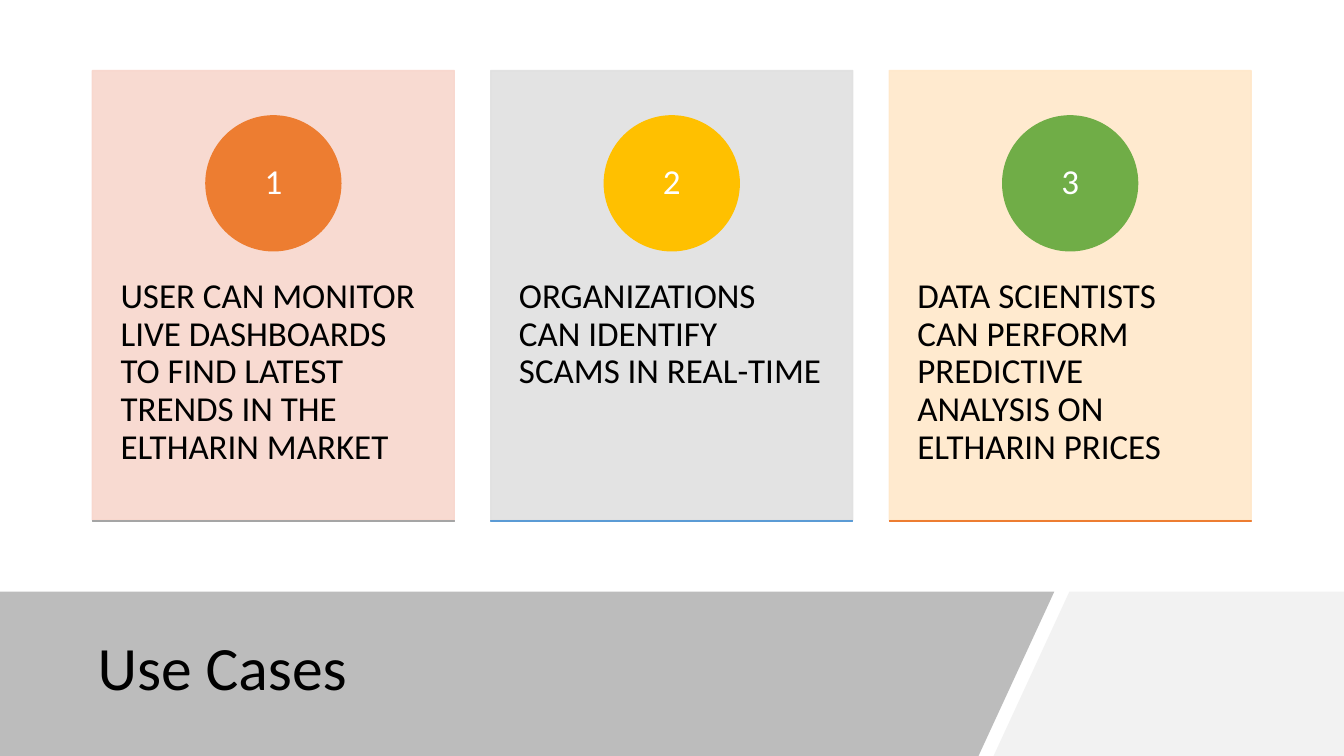
from dataclasses import dataclass

import lxml.etree
import pptx
import pptx.dml.color
import pptx.enum.shapes
import pptx.enum.text
import pptx.oxml.ns
import pptx.util
from pptx.util import Cm

COLORS = {
    "black": "000000", "white": "FFFFFF", "dark_band": "595959", "light_band": "F2F2F2",
    "rose": "F8D6CC", "silver": "E0E0E0", "cream": "FFE8CA",
    "orange": "ED7D31", "gold": "FFC000", "green": "70AD47",
    "gray": "A5A5A5", "blue": "5B9BD5",
}
FONT = "Calibri"
SLIDE_WIDTH, SLIDE_HEIGHT = 33.87, 19.05

# Card geometry in centimetres
CARD_LEFT, CARD_TOP, CARD_WIDTH, CARD_HEIGHT = 2.33, 1.78, 9.12, 11.33
CARD_PITCH = 10.04
CIRCLE_TOP, CIRCLE_SIZE = 2.92, 3.4
BODY_TOP = 6.3
RULE_HEIGHT = 0.03
BAND_TOP = 14.91

SHAPE = pptx.enum.shapes.MSO_SHAPE
ALIGN = pptx.enum.text.PP_ALIGN
ANCHOR = pptx.enum.text.MSO_ANCHOR


@dataclass
class Card:
    text: str
    body_height: float
    background: str
    circle: str
    rule: str


@dataclass
class Band:
    corners: list[tuple[float, float]]
    color: str
    opacity: int


CARDS = [
    Card("USER CAN MONITOR LIVE DASHBOARDS TO FIND LATEST TRENDS IN THE ELTHARIN MARKET",
         6.32, "rose", "orange", "gray"),
    Card("ORGANIZATIONS CAN IDENTIFY SCAMS IN REAL-TIME",
         4.32, "silver", "gold", "blue"),
    Card("DATA SCIENTISTS CAN PERFORM PREDICTIVE ANALYSIS ON ELTHARIN PRICES",
         6.32, "cream", "green", "orange"),
]
BANDS = [
    Band([(26.95, BAND_TOP), (SLIDE_WIDTH, BAND_TOP),
          (SLIDE_WIDTH, SLIDE_HEIGHT), (25.04, SLIDE_HEIGHT)], "light_band", 100),
    Band([(0, BAND_TOP), (26.57, BAND_TOP),
          (24.66, SLIDE_HEIGHT), (0, SLIDE_HEIGHT)], "dark_band", 40),
]


def rgb(name: str) -> pptx.dml.color.RGBColor:
    return pptx.dml.color.RGBColor.from_string(COLORS[name])


def paint(shape, color: str, opacity: int = 100, outlined: bool = True) -> None:
    """Give fill and outline one colour and one opacity."""
    shape.shadow.inherit = False
    shape.fill.solid()
    shape.fill.fore_color.rgb = rgb(color)
    if outlined:
        shape.line.color.rgb = rgb(color)
        shape.line.width = pptx.util.Pt(1)
    else:
        shape.line.fill.background()
    if opacity < 100:
        for element in shape._element.spPr.iter(pptx.oxml.ns.qn("a:srgbClr")):
            alpha = lxml.etree.SubElement(element, pptx.oxml.ns.qn("a:alpha"))
            alpha.set("val", str(opacity * 1000))


def write(shape, text: str, size: int, color: str, inset: float,
          align=ALIGN.LEFT, anchor=ANCHOR.TOP) -> None:
    text_frame = shape.text_frame
    text_frame.word_wrap = True
    text_frame.vertical_anchor = anchor
    text_frame.margin_left = text_frame.margin_right = Cm(inset)
    text_frame.margin_top = text_frame.margin_bottom = Cm(inset)
    text_frame.text = text
    paragraph = text_frame.paragraphs[0]
    paragraph.alignment = align
    paragraph.line_spacing = 0.9
    font = paragraph.runs[0].font
    font.name, font.size = FONT, pptx.util.Pt(size)
    font.color.rgb = rgb(color)


def draw_band(slide, band: Band) -> None:
    points = [(Cm(x), Cm(y)) for x, y in band.corners]
    builder = slide.shapes.build_freeform(*points[0])
    builder.add_line_segments(points[1:], close=True)
    paint(builder.convert_to_shape(), band.color, band.opacity, outlined=False)


def draw_card(slide, card: Card, index: int) -> None:
    shapes = slide.shapes.add_group_shape().shapes
    left = CARD_LEFT + index * CARD_PITCH

    background = shapes.add_shape(SHAPE.RECTANGLE, Cm(left), Cm(CARD_TOP),
                                  Cm(CARD_WIDTH), Cm(CARD_HEIGHT))
    paint(background, card.background, 90)

    body = shapes.add_textbox(Cm(left), Cm(BODY_TOP), Cm(CARD_WIDTH), Cm(card.body_height))
    write(body, card.text, 25, "black", 0.71)

    circle = shapes.add_shape(SHAPE.OVAL, Cm(left + (CARD_WIDTH - CIRCLE_SIZE) / 2),
                              Cm(CIRCLE_TOP), Cm(CIRCLE_SIZE), Cm(CIRCLE_SIZE))
    paint(circle, card.circle)
    write(circle, str(index + 1), 25, "white", 0.03, ALIGN.CENTER, ANCHOR.MIDDLE)

    rule = shapes.add_shape(SHAPE.RECTANGLE, Cm(left), Cm(CARD_TOP + CARD_HEIGHT),
                            Cm(CARD_WIDTH), Cm(RULE_HEIGHT))
    paint(rule, card.rule)


def main() -> None:
    presentation = pptx.Presentation()
    presentation.slide_width, presentation.slide_height = Cm(SLIDE_WIDTH), Cm(SLIDE_HEIGHT)
    slide = presentation.slides.add_slide(presentation.slide_layouts[6])

    # Footer bands and title
    for band in BANDS:
        draw_band(slide, band)
    title = slide.shapes.add_textbox(Cm(CARD_LEFT), Cm(15.37), Cm(22.43), Cm(3.05))
    write(title, "Use Cases", 44, "black", 0.13, anchor=ANCHOR.MIDDLE)

    # Numbered cards
    for index, card in enumerate(CARDS):
        draw_card(slide, card, index)

    presentation.save("out.pptx")


if __name__ == "__main__":
    main()
